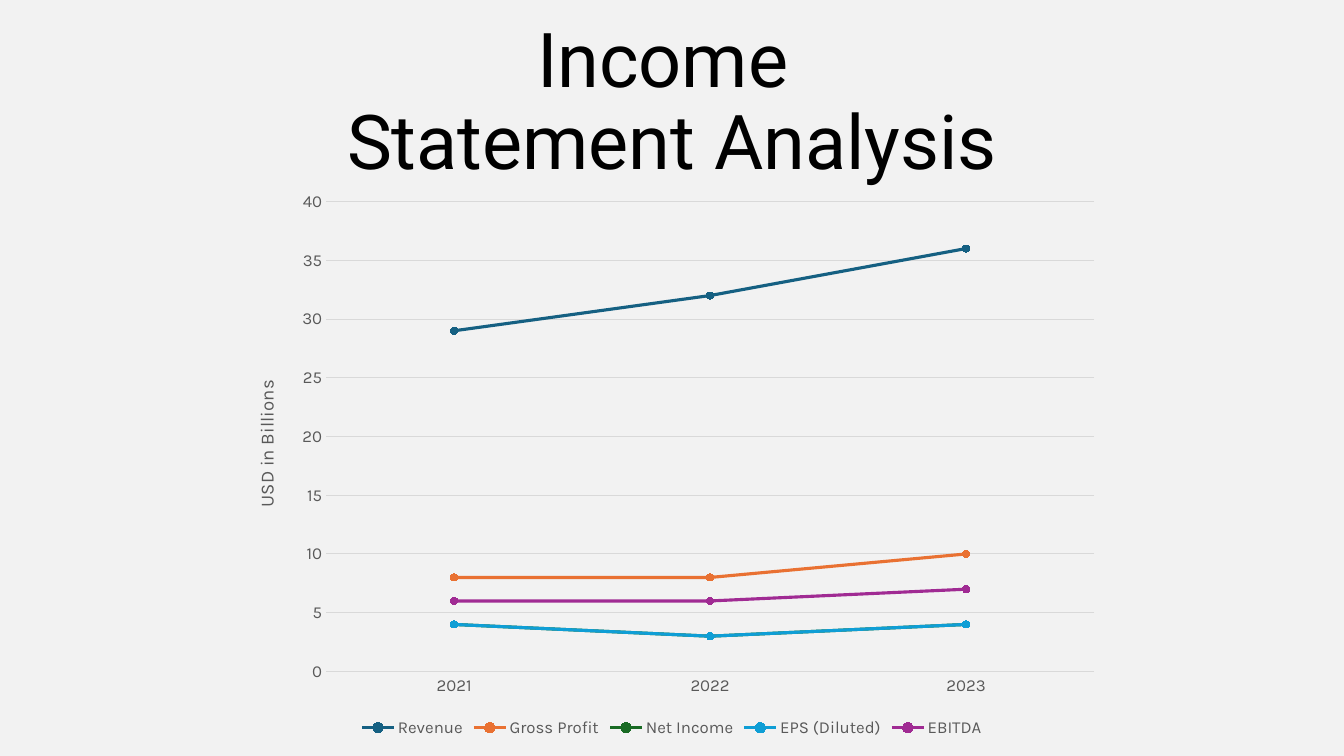
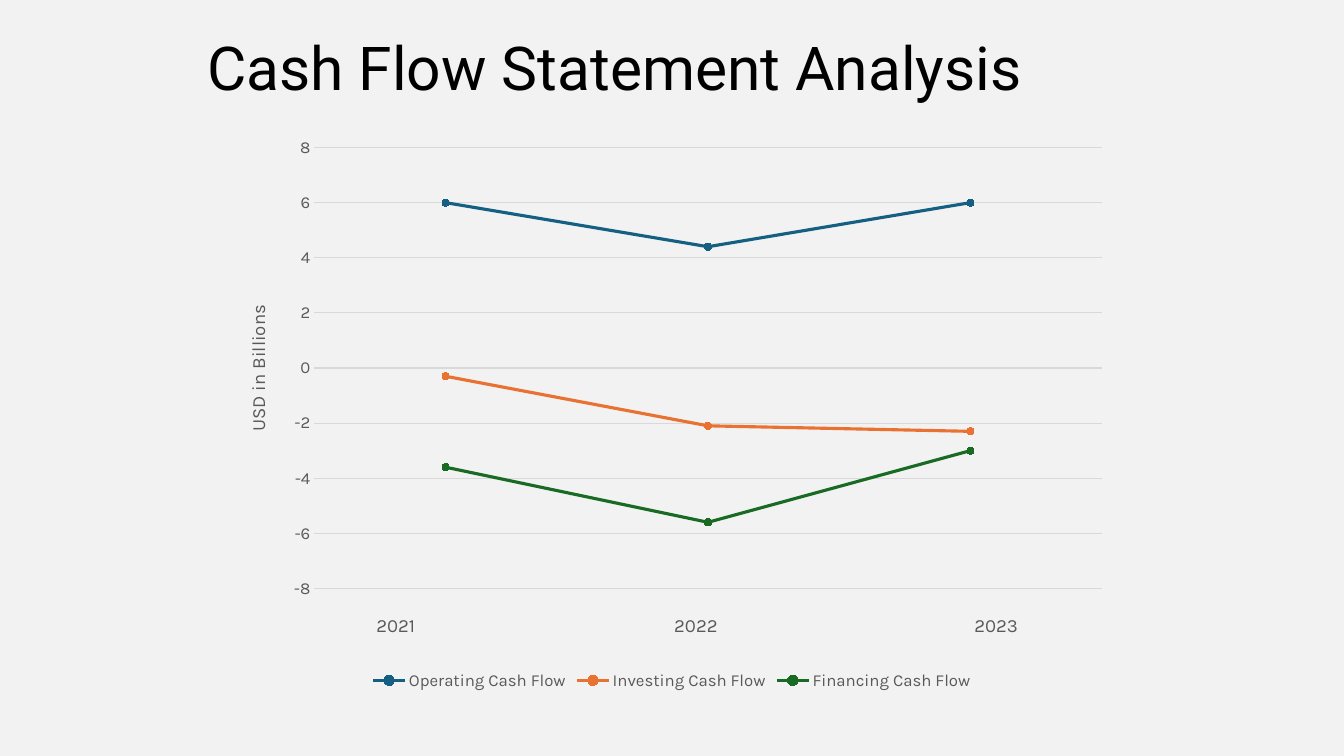
import pptx
import pptx.chart.data
import pptx.dml.color
import pptx.enum.chart
import pptx.enum.text
import pptx.util
from lxml import etree

Pt = pptx.util.Pt
ALIGN = pptx.enum.text.PP_ALIGN
ANCHOR = pptx.enum.text.MSO_ANCHOR
COLORS = {
    "background": "F2F2F2",
    "title": "000000",
    "label": "595959",
    "grid": "D9D9D9",
    "blue": "156082",
    "orange": "E97132",
    "green": "196B24",
    "sky": "0F9ED5",
    "purple": "A02B93",
}
SERIES_COLORS = ["blue", "orange", "green", "sky", "purple"]
YEARS = ["2021", "2022", "2023"]


def rgb(name):
    return pptx.dml.color.RGBColor.from_string(COLORS[name])


def set_font(font, size, color="label", name="Karla"):
    font.size, font.name, font.bold = Pt(size), name, False
    font.color.rgb = rgb(color)


def write(tf, text, size=13.3, color="label", font="Karla", align=None, spacing=None):
    p = tf.paragraphs[0]
    p.alignment, p.line_spacing = align, spacing
    for i, line in enumerate(text.split("\n")):
        if i:
            p.add_line_break()
        r = p.add_run()
        r.text = line
        set_font(r.font, size, color, font)


def set_layout(parent, after, **fractions):
    ns = "{http://schemas.openxmlformats.org/drawingml/2006/chart}"
    for old in parent.findall(ns + "layout"):
        parent.remove(old)
    layout = etree.Element(ns + "layout")
    manual = etree.SubElement(layout, ns + "manualLayout")
    if "w" in fractions:
        etree.SubElement(manual, ns + "layoutTarget", val="inner")
    for key in "xy":
        etree.SubElement(manual, ns + key + "Mode", val="edge")
    for key, value in fractions.items():
        etree.SubElement(manual, ns + key, val=f"{value:.4f}")
    if after:
        parent.find(ns + after).addnext(layout)
    else:
        parent.insert(0, layout)


class Deck:
    def __init__(self):
        self.prs = pptx.Presentation()
        self.prs.slide_width, self.prs.slide_height = Pt(960), Pt(540)
        self.s = None

    def slide(self):
        self.s = self.prs.slides.add_slide(self.prs.slide_layouts[6])
        fill = self.s.background.fill
        fill.solid()
        fill.fore_color.rgb = rgb("background")

    def text(self, text, box, anchor=ANCHOR.MIDDLE, **fmt):
        sp = self.s.shapes.add_textbox(*map(Pt, box))
        tf = sp.text_frame
        tf.word_wrap, tf.vertical_anchor = True, anchor
        write(tf, text, **fmt)

    def title(self, text, box, size, align):
        self.text(text, box, ANCHOR.BOTTOM, size=size, color="title",
                  font="Roboto", align=align, spacing=0.9)

    def line_chart(self, box, plot, label_at, scale, series, show_years=True):
        data = pptx.chart.data.CategoryChartData()
        data.categories = YEARS
        for name, values in series.items():
            data.add_series(name, values)
        kind = pptx.enum.chart.XL_CHART_TYPE.LINE_MARKERS
        chart = self.s.shapes.add_chart(kind, *map(Pt, box), data).chart
        set_font(chart.font, 10, "title")
        chart.has_title = False
        chart.has_legend = True
        chart.legend.position = pptx.enum.chart.XL_LEGEND_POSITION.BOTTOM
        chart.legend.include_in_layout = False
        set_font(chart.legend.font, 12)
        chart.plots[0].vary_by_categories = False
        for color, ser in zip(SERIES_COLORS, chart.plots[0].series):
            self.style_series(ser, color)
        self.style_axes(chart, scale, show_years)
        left, top, width, height = box
        x, y, w, h = plot
        plot_area = chart.plots[0]._element.getparent()
        set_layout(plot_area, None, x=(x - left) / width, y=(y - top) / height,
                   w=w / width, h=h / height)
        x, y = label_at
        axis_title = chart.value_axis.axis_title
        write(axis_title.text_frame, "USD in Billions")
        set_layout(axis_title._element, "tx",
                   x=(x - left) / width, y=(y - top) / height)

    def style_series(self, ser, color):
        ser.smooth = False
        ser.format.line.width = Pt(2.25)
        ser.format.line.color.rgb = rgb(color)
        marker = ser.marker
        marker.style, marker.size = pptx.enum.chart.XL_MARKER_STYLE.CIRCLE, 5
        marker.format.fill.solid()
        marker.format.fill.fore_color.rgb = rgb(color)
        marker.format.line.color.rgb = rgb(color)

    def style_axes(self, chart, scale, show_years):
        cat, val = chart.category_axis, chart.value_axis
        val.minimum_scale, val.maximum_scale, val.major_unit = scale
        for axis in (cat, val):
            axis.major_tick_mark = pptx.enum.chart.XL_TICK_MARK.NONE
            axis.minor_tick_mark = pptx.enum.chart.XL_TICK_MARK.NONE
            set_font(axis.tick_labels.font, 12)
        val.format.line.fill.background()
        for line in (cat.format.line, val.major_gridlines.format.line):
            line.width = Pt(0.75)
            line.color.rgb = rgb("grid")
        cat.visible = show_years


def main():
    deck = Deck()

    deck.slide()
    deck.title("Income \nStatement Analysis", (165.6, 9.5, 629, 126.7), 54, ALIGN.CENTER)
    deck.line_chart(
        (165.6, 128.9, 628.6, 401), (233, 144, 548.5, 335.7), (178.6, 269), (0, 40, 5),
        {
            "Revenue": (29, 32, 36),
            "Gross Profit": (8, 8, 10),
            "Net Income": (4, 3, 4),
            "EPS (Diluted)": (4, 3, 4),
            "EBITDA": (6, 6, 7),
        })

    deck.slide()
    deck.title("Cash Flow Statement Analysis", (141, 15.6, 678, 62), 43.2, ALIGN.LEFT)
    deck.line_chart(
        (160, 90, 640, 406), (224.5, 105.4, 562.5, 315), (172.6, 215), (-8, 8, 2),
        {
            "Operating Cash Flow": (6, 4.4, 6),
            "Investing Cash Flow": (-0.3, -2.1, -2.3),
            "Financing Cash Flow": (-3.6, -5.6, -3),
        },
        show_years=False)
    for i, year in enumerate(YEARS):
        deck.text(year, (252.7 + 214.4 * i, 433.3, 60, 26), align=ALIGN.CENTER)

    deck.prs.save("out.pptx")


if __name__ == "__main__":
    main()
